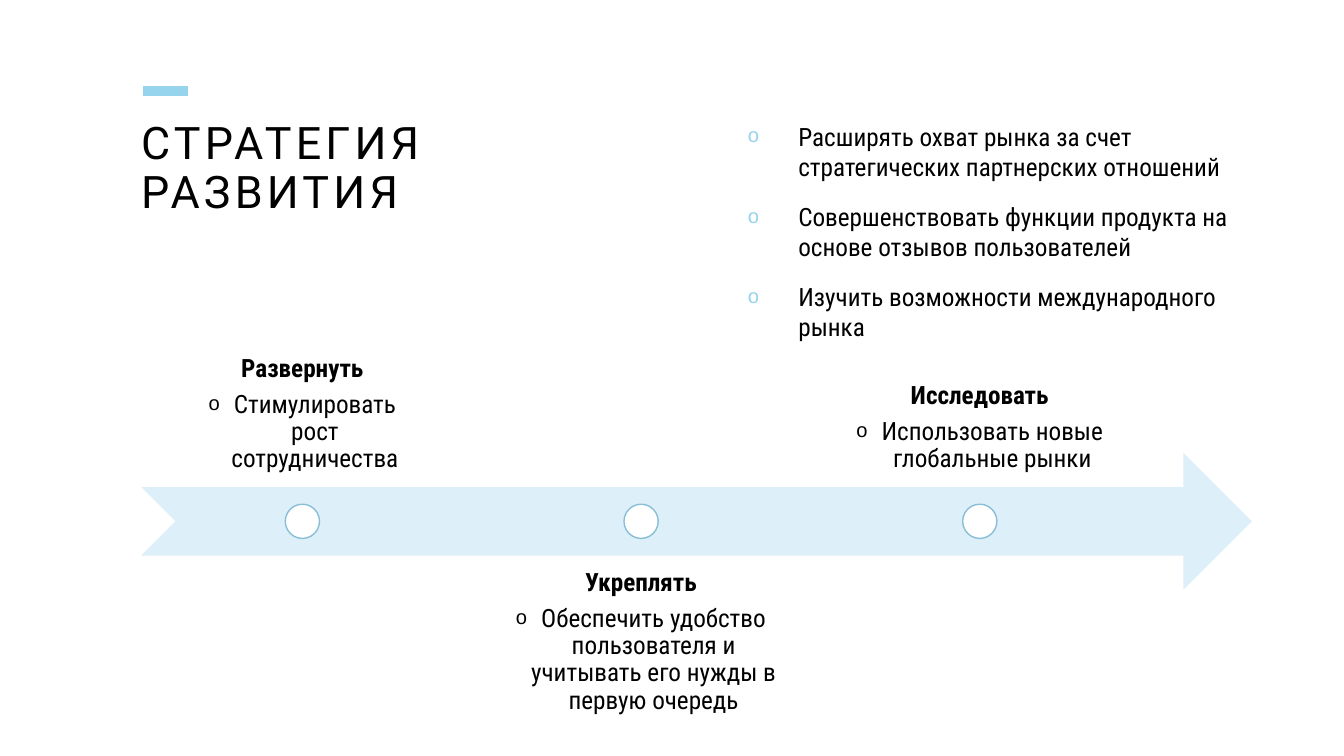
from dataclasses import dataclass

from lxml import etree
from pptx import Presentation
from pptx.dml.color import RGBColor
from pptx.enum.shapes import MSO_CONNECTOR, MSO_SHAPE
from pptx.enum.text import MSO_ANCHOR, MSO_AUTO_SIZE, PP_ALIGN
from pptx.oxml.ns import qn
from pptx.util import Inches, Pt

LINE = MSO_CONNECTOR.STRAIGHT
ARROW = MSO_SHAPE.NOTCHED_RIGHT_ARROW
OVAL = MSO_SHAPE.OVAL
TOP, BOTTOM = MSO_ANCHOR.TOP, MSO_ANCHOR.BOTTOM
LEFT, CENTER = PP_ALIGN.LEFT, PP_ALIGN.CENTER
FIXED = MSO_AUTO_SIZE.NONE

WIDE, HIGH = Inches(13.33), Inches(7.5)
UNIT = WIDE / 100


@dataclass(frozen=True)
class Theme:
    ink: str = "000000"
    accent: str = "96D3ED"
    band: str = "DDEFF8"
    ring: str = "88BFD7"
    paper: str = "FFFFFF"
    head: str = "Roboto"
    text: str = "Roboto Condensed"
    large: int = 32
    small: int = 18


THEME = Theme()

TITLE = "СТРАТЕГИЯ РАЗВИТИЯ"
GOALS = [
    "Расширять охват рынка за счет стратегических партнерских отношений",
    "Совершенствовать функции продукта на основе отзывов пользователей",
    "Изучить возможности международного рынка",
]
STEPS = [
    ("Развернуть", "Стимулировать рост сотрудничества", 18.2, True),
    ("Укреплять",
     "Обеспечить удобство пользователя и учитывать его нужды в первую очередь",
     24, False),
    ("Исследовать", "Использовать новые глобальные рынки", 24, True),
]

EDGE = 10.5
AXIS = 38.8
FIRST, STRIDE = 22.5, 25.2
DOT = 2.55
TALL = 4 * DOT


def grid(*cells):
    return [round(cell * UNIT) for cell in cells]


def color(code):
    return RGBColor.from_string(code)


def place(shape, *cells):
    shape.left, shape.top, shape.width, shape.height = grid(*cells)


def frame(shape, inset, anchor):
    box = shape.text_frame
    box.word_wrap = True
    box.auto_size = FIXED
    box.vertical_anchor = anchor
    pad, = grid(inset)
    box.margin_left = box.margin_right = pad
    box.margin_top = box.margin_bottom = pad
    return box


def line_of(box, index):
    return box.add_paragraph() if index else box.paragraphs[0]


def write(para, words, face, size, bold=False):
    run = para.add_run()
    run.text = words
    font = run.font
    font.name, font.size, font.bold = face, Pt(size), bold
    font.color.rgb = color(THEME.ink)
    return run


def bullet(para, indent, tint):
    props = para._p.get_or_add_pPr()
    props.set("marL", str(Inches(indent)))
    props.set("indent", str(-Inches(indent)))
    fill = etree.SubElement(props, qn("a:buClr"))
    etree.SubElement(fill, qn("a:srgbClr"), val=tint)
    etree.SubElement(props, qn("a:buSzPct"), val="80000")
    etree.SubElement(props, qn("a:buFont"), typeface="Arial")
    etree.SubElement(props, qn("a:buChar"), char="o")


def shape_of(slide, kind, cells, fill, ring=None):
    shape = slide.shapes.add_shape(kind, *grid(*cells))
    shape.shadow.inherit = False
    shape.fill.solid()
    shape.fill.fore_color.rgb = color(fill)
    if ring:
        shape.line.color.rgb = color(ring)
        shape.line.width = Pt(1)
    else:
        shape.line.fill.background()


def accent(slide):
    bar = slide.shapes.add_connector(LINE, *grid(10.65, 6.75, 14, 6.75))
    bar.line.color.rgb = color(THEME.accent)
    bar.line.width = Pt(7)
    etree.SubElement(bar._element.spPr, qn("a:effectLst"))


def title(slide):
    shape = slide.shapes.title
    place(shape, EDGE, 9, 40.5, 15)
    para = frame(shape, 0, TOP).paragraphs[0]
    para.alignment = LEFT
    para.line_spacing = 0.9
    run = write(para, TITLE, THEME.head, THEME.large)
    run.font._element.set("spc", "300")


def goals(slide):
    shape = slide.placeholders[1]
    place(shape, 55.65, 9, 37.5, 15)
    box = frame(shape, 0, TOP)
    for index, words in enumerate(GOALS):
        para = line_of(box, index)
        para.alignment = LEFT
        para.space_before = Pt(14 if index else 0)
        bullet(para, 0.5, THEME.accent)
        write(para, words, THEME.text, THEME.small)


def label(slide, name, note, mid, wide, above):
    top = AXIS - DOT - TALL if above else AXIS + DOT
    shape = slide.shapes.add_textbox(*grid(mid - wide / 2, top, wide, TALL))
    box = frame(shape, 1.05, BOTTOM if above else TOP)
    for index, words in enumerate((name, note)):
        para = line_of(box, index)
        para.alignment = CENTER
        para.line_spacing = 0.9
        para.space_before = Pt(0)
        para.space_after = Pt(0 if index else 6.3)
        if index:
            para.level = 1
            bullet(para, 0.25, THEME.ink)
        write(para, words, THEME.text, THEME.small, bold=not index)


def road(slide):
    shape_of(slide, ARROW, (EDGE, AXIS - TALL / 2, 82.65, TALL), THEME.band)
    for index, (name, note, wide, above) in enumerate(STEPS):
        mid = FIRST + index * STRIDE
        label(slide, name, note, mid, wide, above)
        shape_of(slide, OVAL, (mid - DOT / 2, AXIS - DOT / 2, DOT, DOT),
                 THEME.paper, THEME.ring)


def main():
    deck = Presentation()
    deck.slide_width, deck.slide_height = WIDE, HIGH
    slide = deck.slides.add_slide(deck.slide_layouts[1])
    accent(slide)
    title(slide)
    goals(slide)
    road(slide)
    deck.save("out.pptx")


if __name__ == "__main__":
    main()
